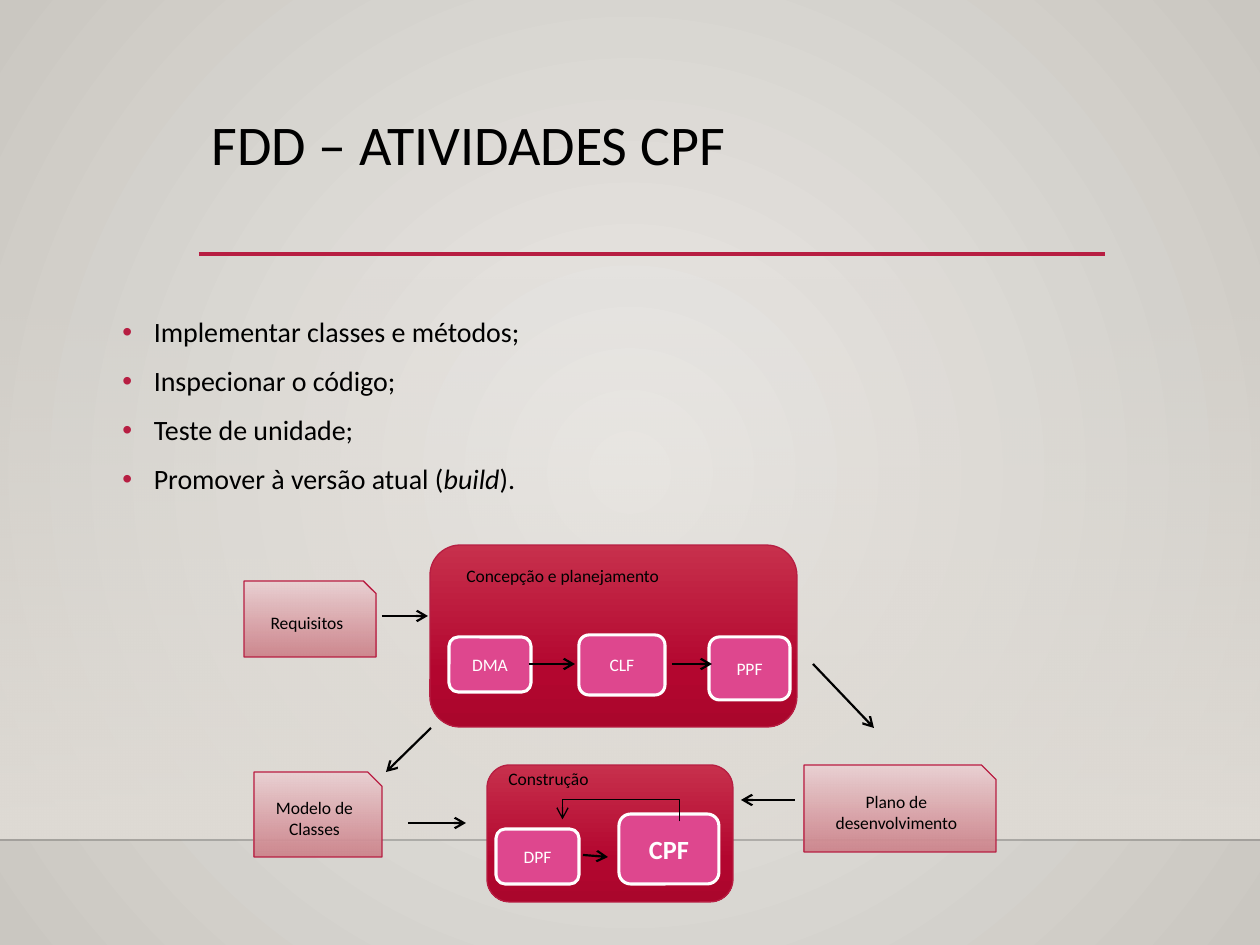
import dataclasses

import pptx
import pptx.dml.color
import pptx.enum.shapes
import pptx.enum.text
import pptx.oxml
import pptx.oxml.ns
import pptx.util

EMU_PER_PX = 914400 / 126
SHAPES = pptx.enum.shapes.MSO_SHAPE
ALIGN = pptx.enum.text.PP_ALIGN
ANCHOR = pptx.enum.text.MSO_ANCHOR
DOWNWARD = '<a:lin ang="5400000" scaled="0"/>'
FROM_CENTRE = ('<a:path path="circle"><a:fillToRect l="50000" t="50000" '
               'r="50000" b="50000"/></a:path>')


@dataclasses.dataclass(frozen=True)
class Theme:
    """Gradient stops are (position %, colour, opacity %)."""
    font: str = "Calibri"
    text: str = "000000"
    light: str = "FFFFFF"
    accent: str = "B71E42"
    activity: str = "DE478E"
    title_size: int = 32
    body_size: int = 16
    focus_size: int = 15
    label_size: int = 10
    backdrop: tuple = ((0, "ECEAE7", 100), (100, "CAC7C1", 100))
    wash: tuple = ((0, "DFDBD5", 0), (100, "DFDBD5", 100))
    phase: tuple = ((0, "C7304C", 100), (69, "B3062F", 100), (100, "AA062C", 100))
    document: tuple = ((0, "EAD1D3", 100), (100, "CD828A", 92))


def px(length):
    return pptx.util.Emu(round(length * EMU_PER_PX))


def rgb(colour):
    return pptx.dml.color.RGBColor.from_string(colour)


def add_xml(parent, markup):
    """Append an element written in the a: namespace and return it."""
    tag, rest = markup[:-2].split(" ", 1) if " " in markup else (markup[:-2], "")
    if not markup.endswith("/>") or markup.count("<") > 1:
        head, rest = markup.split(">", 1)
        markup = f"{head} {pptx.oxml.ns.nsdecls('a')}>{rest}"
    else:
        markup = f"{tag} {pptx.oxml.ns.nsdecls('a')} {rest}/>"
    node = pptx.oxml.parse_xml(markup)
    parent.append(node)
    return node


def set_gradient(owner, fill, stops, direction):
    fill.gradient()
    gradient = next(owner._element.iter(pptx.oxml.ns.qn("a:gradFill")))
    for child in list(gradient):
        gradient.remove(child)
    marks = "".join(
        f'<a:gs pos="{position * 1000}"><a:srgbClr val="{colour}">'
        f'<a:alpha val="{opacity * 1000}"/></a:srgbClr></a:gs>'
        for position, colour, opacity in stops)
    add_xml(gradient, f"<a:gsLst>{marks}</a:gsLst>")
    add_xml(gradient, direction)


class SlideBuilder:
    def __init__(self, page, theme):
        self.page = page
        self.theme = theme

    def backdrop(self):
        set_gradient(self.page, self.page.background.fill,
                     self.theme.backdrop, FROM_CENTRE)

    def span(self, para, text, size, colour=None, bold=False, italic=False):
        span = para.add_run()
        span.text = text
        span.font.name = self.theme.font
        span.font.size = pptx.util.Pt(size)
        span.font.color.rgb = rgb(colour or self.theme.text)
        span.font.bold = bold
        span.font.italic = italic

    def title(self, text, left, top, width, height):
        box = self.page.shapes.title
        box.left, box.top, box.width, box.height = map(px, (left, top, width, height))
        frame = box.text_frame
        frame.vertical_anchor = ANCHOR.TOP
        frame.auto_size = pptx.enum.text.MSO_AUTO_SIZE.NONE
        para = frame.paragraphs[0]
        para.alignment = ALIGN.LEFT
        para.line_spacing = 0.9
        self.span(para, text, self.theme.title_size)

    def text_box(self, left, top, width, height):
        box = self.page.shapes.add_textbox(*map(px, (left, top, width, height)))
        box.text_frame.word_wrap = True
        return box.text_frame

    def label(self, text, *place):
        self.span(self.text_box(*place).paragraphs[0], text, self.theme.label_size)

    def bullets(self, items, *place):
        """Each item is a list of (text, italic) pairs."""
        frame = self.text_box(*place)
        for index, item in enumerate(items):
            para = frame.add_paragraph() if index else frame.paragraphs[0]
            para.line_spacing = 1.2
            para.space_before = pptx.util.Pt(5)
            properties = para._p.get_or_add_pPr()
            properties.set("marL", str(pptx.util.Inches(0.75)))
            properties.set("indent", str(-pptx.util.Inches(0.25)))
            add_xml(properties, f'<a:buClr><a:srgbClr val="{self.theme.accent}"/></a:buClr>')
            add_xml(properties, '<a:buFont typeface="Arial"/>')
            add_xml(properties, '<a:buChar char="•"/>')
            for text, italic in item:
                self.span(para, text, self.theme.body_size, italic=italic)

    def shape(self, kind, place, stops=None, outline=None, weight=0.75):
        shape = self.page.shapes.add_shape(kind, *map(px, place))
        shape.shadow.inherit = False
        if stops:
            set_gradient(shape, shape.fill, stops, DOWNWARD)
        if outline:
            shape.line.color.rgb = rgb(outline)
            shape.line.width = pptx.util.Pt(weight)
        else:
            shape.line.fill.background()
        return shape

    def centred(self, shape, text, size, colour, bold=False):
        shape.text_frame.word_wrap = True
        shape.text_frame.vertical_anchor = ANCHOR.MIDDLE
        para = shape.text_frame.paragraphs[0]
        para.alignment = ALIGN.CENTER
        self.span(para, text, size, colour, bold)

    def phase(self, *place):
        self.shape(SHAPES.ROUNDED_RECTANGLE, place, self.theme.phase, self.theme.accent)

    def document(self, text, *place):
        shape = self.shape(SHAPES.SNIP_1_RECTANGLE, place,
                           self.theme.document, self.theme.accent)
        self.centred(shape, text, self.theme.label_size, self.theme.text)

    def activity(self, text, *place, focus=False):
        shape = self.shape(SHAPES.ROUNDED_RECTANGLE, place,
                           outline=self.theme.light, weight=1.75)
        shape.fill.solid()
        shape.fill.fore_color.rgb = rgb(self.theme.activity)
        size = self.theme.focus_size if focus else self.theme.label_size
        self.centred(shape, text, size, self.theme.light, focus)

    def line(self, *ends, colour=None, weight=1.25, opacity=100, arrow=False,
             kind=pptx.enum.shapes.MSO_CONNECTOR.STRAIGHT):
        line = self.page.shapes.add_connector(kind, *map(px, ends))
        line.line.color.rgb = rgb(colour or self.theme.text)
        line.line.width = pptx.util.Pt(weight)
        properties = line._element.spPr
        if opacity < 100:
            tint = next(properties.iter(pptx.oxml.ns.qn("a:srgbClr")))
            add_xml(tint, f'<a:alpha val="{opacity * 1000}"/>')
        if arrow:
            add_xml(line.line._get_or_add_ln(), '<a:tailEnd type="arrow"/>')
        add_xml(properties, "<a:effectLst/>")
        return line

    def loop_arrow(self, *ends, bend):
        """Elbow turned to point upwards; bend is a multiple of its short side."""
        line = self.line(*ends, weight=0.75, arrow=True,
                         kind=pptx.enum.shapes.MSO_CONNECTOR.ELBOW)
        properties = line._element.spPr
        properties.xfrm.set("rot", str(270 * 60000))
        properties.xfrm.set("flipV", "1")
        guides = next(properties.iter(pptx.oxml.ns.qn("a:avLst")))
        add_xml(guides, f'<a:gd name="adj1" fmla="val {bend * 100000}"/>')


def main():
    deck = pptx.Presentation()
    deck.slide_width, deck.slide_height = px(1260), px(945)
    theme = Theme()
    slide = SlideBuilder(deck.slides.add_slide(deck.slide_layouts[5]), theme)

    slide.backdrop()
    slide.shape(SHAPES.RECTANGLE, (0, 277, 1260, 562), theme.wash)
    slide.line(0, 840, 1260, 840, weight=1, opacity=20)
    slide.line(199, 254, 1105, 254, colour=theme.accent, weight=2.5)
    slide.title("FDD – ATIVIDADES CPF", 199, 111, 906, 145)
    slide.bullets([
        [("Implementar classes e métodos;", False)],
        [("Inspecionar o código;", False)],
        [("Teste de unidade;", False)],
        [("Promover à versão atual (", False), ("build", True), (").", False)],
    ], 47, 302, 1182, 561)

    slide.phase(430, 545, 367, 182)
    slide.phase(487, 765, 246, 137)
    slide.document("Requisitos", 244, 581, 132, 76)
    slide.document("Modelo de Classes", 254, 772, 128, 85)
    slide.document("Plano de desenvolvimento", 804, 765, 192, 87)
    slide.activity("DMA", 449, 637, 82, 55)
    slide.activity("CLF", 579, 635, 86, 60)
    slide.activity("PPF", 709, 637, 81, 63)
    slide.activity("DPF", 496, 829, 83, 55)
    slide.activity("CPF", 619, 814, 100, 70, focus=True)
    slide.label("Concepção e planejamento", 454, 559, 278, 72)
    slide.label("Construção", 496, 762, 150, 44)

    for ends in (
        (529, 664, 575, 664), (672, 664, 712, 664), (431, 728, 386, 772),
        (382, 616, 428, 616), (813, 664, 874, 728), (795, 800, 741, 800),
        (408, 823, 466, 823), (583, 855, 608, 857),
    ):
        slide.line(*ends, arrow=True)
    slide.loop_arrow(620, 762, 622, 879, bend=11)

    deck.save("out.pptx")


if __name__ == "__main__":
    main()
